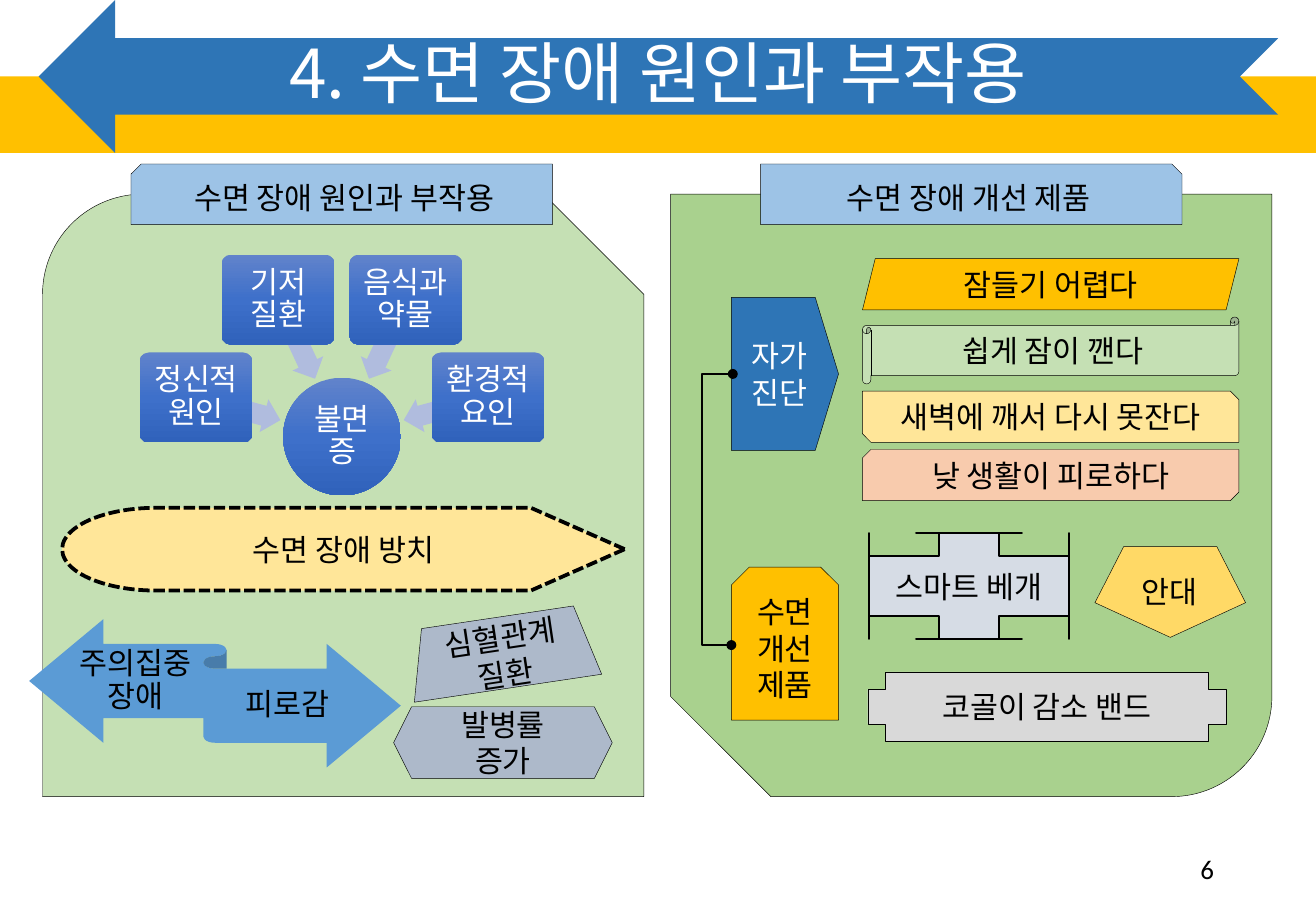
from math import cos, radians, sin

from lxml import etree
from pptx import Presentation
from pptx import util as u
from pptx.dml.color import RGBColor
from pptx.enum import dml, shapes, text
from pptx.oxml.ns import qn

SHAPE = shapes.MSO_SHAPE
BLACK, WHITE = "000000", "FFFFFF"


def color(value):
    return RGBColor.from_string(value)


class SlideBuilder:
    font = "Noto Sans CJK KR"
    size = 18
    hairline = 0.25
    gradient = ((0, "6183CB"), (50, "3E70CA"), (100, "3062BB"))

    def __init__(self, slide):
        self.slide = slide

    def shape(self, kind, box, fill, line=0, flip="", rotation=0, adjust=()):
        """Draw a preset shape; box is left, top, width, height in cm."""
        shape = self.slide.shapes.add_shape(kind, *map(u.Cm, box))
        shape.shadow.inherit = False
        shape.rotation = rotation
        for index, value in enumerate(adjust):
            shape.adjustments[index] = value
        for axis in flip:
            shape._element.spPr.xfrm.set("flip" + axis, "1")
        if fill == self.gradient:
            self.fill_gradient(shape)
        else:
            shape.fill.solid()
            shape.fill.fore_color.rgb = color(fill)
        if line:
            shape.line.color.rgb = color(BLACK)
            shape.line.width = u.Pt(line)
        else:
            shape.line.fill.background()
        return shape

    def fill_gradient(self, shape):
        shape.fill.gradient()
        shape.fill.gradient_angle = 270
        stops = shape._element.spPr.find(".//" + qn("a:gsLst"))
        for stop in list(stops):
            stops.remove(stop)
        for position, value in self.gradient:
            stop = etree.SubElement(stops, qn("a:gs"), pos=str(position * 1000))
            etree.SubElement(stop, qn("a:srgbClr"), val=value)

    def set_text(self, shape, words, ink=BLACK, size=None, font=None, align="CENTER",
                 anchor="MIDDLE", spacing=None, inset=None):
        frame = shape.text_frame
        frame.text = words
        frame.word_wrap = True
        frame.vertical_anchor = text.MSO_ANCHOR[anchor]
        if inset is not None:
            frame.margin_left = frame.margin_right = u.Cm(inset[0])
            frame.margin_top = frame.margin_bottom = u.Cm(inset[1])
        paragraph = frame.paragraphs[0]
        paragraph.alignment = text.PP_ALIGN[align]
        if spacing:
            paragraph.line_spacing = spacing
        for run in paragraph.runs:
            run.font.size = u.Pt(size or self.size)
            run.font.color.rgb = color(ink)
            run.font.name = font or self.font
            etree.SubElement(run._r.rPr, qn("a:ea"), typeface=font or self.font)

    def label(self, box, words, **style):
        self.set_text(self.slide.shapes.add_textbox(*map(u.Cm, box)), words, **style)

    def labelled(self, kind, box, fill, words, ink=BLACK, **style):
        """Draw an outlined shape with centred text."""
        shape = self.shape(kind, box, fill, **{"line": self.hairline, **style})
        self.set_text(shape, words, ink)
        return shape

    def elbow(self, start, end, bend_x):
        """Join two points with a bent line that turns at bend_x."""
        connector = self.slide.shapes.add_connector(
            shapes.MSO_CONNECTOR.ELBOW, *map(u.Cm, start + end))
        connector.line.color.rgb = color(BLACK)
        connector.line.width = u.Pt(1.5)
        ratio = (bend_x - start[0]) / (end[0] - start[0])
        properties = connector._element.spPr
        guides = properties.find(".//" + qn("a:avLst"))
        etree.SubElement(guides, qn("a:gd"), name="adj1", fmla=f"val {round(ratio * 100000)}")
        outline = properties.find(qn("a:ln"))
        for tip in ("a:headEnd", "a:tailEnd"):
            etree.SubElement(outline, qn(tip), type="oval")
        etree.SubElement(properties, qn("a:effectLst"))


def draw_header(builder):
    builder.shape(SHAPE.RECTANGLE, (0, 1.6, 27.51, 1.6), "FFC000")
    builder.shape(SHAPE.NOTCHED_RIGHT_ARROW, (0.81, 0, 25.91, 3.2), "2E75B6", flip="H")
    builder.label((19.43, 17.65, 6.2, 1.02), "6", size=16, font="Calibri", align="RIGHT")
    builder.label((0, 0, 27.51, 3.2), "4. 수면 장애 원인과 부작용",
                  ink=WHITE, size=40, spacing=0.9)


def draw_insomnia_causes(builder):
    center_x, center_y, diameter = 7.15, 9.13, 2.46

    def around(angle, radius, width, height):
        """Box centred at an angle and distance from the circle's centre."""
        return (center_x + radius * cos(radians(angle)) - width / 2,
                center_y + radius * sin(radians(angle)) - height / 2, width, height)

    circle = builder.shape(SHAPE.OVAL, around(0, 0, diameter, diameter), builder.gradient)
    builder.set_text(circle, "불면증", WHITE, spacing=0.9, inset=(0.03, 0.03))
    causes = ("정신적 원인", "기저 질환", "음식과 약물", "환경적 요인")
    for index, cause in enumerate(causes):
        angle = 195 + 50 * index
        builder.shape(SHAPE.LEFT_ARROW, around(angle, 2.25, 1.83, 0.71), "B0BCDE",
                      rotation=angle, adjust=(0.6, 0.5))
        box = builder.shape(SHAPE.ROUNDED_RECTANGLE, around(angle, 3.16, 2.36, 1.88),
                            builder.gradient, adjust=(0.1,))
        builder.set_text(box, cause, WHITE, spacing=0.9, inset=(0.1, 0.1))


def draw_causes_panel(builder):
    builder.shape(SHAPE.SNIP_ROUND_RECTANGLE, (0.89, 4.06, 12.57, 12.6), "C5E0B4",
                  line=builder.hairline)
    neglect = builder.labelled(SHAPE.FLOWCHART_DISPLAY, (1.3, 10.62, 11.76, 1.73), "FFE699",
                               "수면 장애 방치", line=2.25, flip="H")
    neglect.line.dash_style = dml.MSO_LINE.SQUARE_DOT
    builder.labelled(SHAPE.SNIP_1_RECTANGLE, (2.74, 3.43, 8.81, 1.27), "9DC3E6",
                     "수면 장애 원인과 부작용", flip="H")
    draw_insomnia_causes(builder)
    builder.shape(SHAPE.LEFT_RIGHT_RIBBON, (0.61, 12.95, 7.77, 3.1), "5B9BD5")
    for box, effect in (((1.55, 13.49, 2.57, 1.52), "주의집중장애"),
                        ((4.5, 14, 3.02, 1.52), "피로감")):
        builder.label(box, effect, spacing=0.9, inset=(0, 0.18))
    builder.labelled(SHAPE.TRAPEZOID, (8.53, 12.9, 3.96, 1.5), "ADB9CA",
                     "심혈관계 질환", rotation=351.5)
    builder.labelled(SHAPE.HEXAGON, (8.23, 14.78, 4.57, 1.5), "ADB9CA", "발병률 증가")


def draw_products_panel(builder):
    builder.shape(SHAPE.SNIP_ROUND_RECTANGLE, (14.02, 4.06, 12.57, 12.6), "A9D18E",
                  line=builder.hairline, flip="HV")
    builder.labelled(SHAPE.PENTAGON, (15.29, 6.22, 2.24, 3.2), "2E75B6", "자가진단",
                     WHITE, adjust=(0.217,))
    symptoms = (
        (SHAPE.PARALLELOGRAM, 5.41, 1.07, "FFC000", "잠들기 어렵다", ""),
        (SHAPE.HORIZONTAL_SCROLL, 6.63, 1.4, "C5E0B4", "쉽게 잠이 깬다", ""),
        (SHAPE.SNIP_2_DIAG_RECTANGLE, 8.18, 1.07, "FFE699", "새벽에 깨서 다시 못잔다", ""),
        (SHAPE.SNIP_2_DIAG_RECTANGLE, 9.4, 1.07, "F8CBAD", "낮 생활이 피로하다", "H"),
    )
    for kind, top, height, fill, symptom, flip in symptoms:
        builder.labelled(kind, (18.03, top, 7.87, height), fill, symptom, flip=flip)
    builder.labelled(SHAPE.SNIP_1_RECTANGLE, (15.9, 3.43, 8.81, 1.27), "9DC3E6",
                     "수면 장애 개선 제품")
    builder.labelled(SHAPE.SNIP_2_SAME_RECTANGLE, (15.29, 11.86, 2.24, 3.2), "FFC000",
                     "수면개선제품")
    builder.shape(SHAPE.REGULAR_PENTAGON, (22.89, 11.43, 3.15, 1.9), "FFD966",
                  line=builder.hairline, flip="V")
    builder.labelled(SHAPE.QUAD_ARROW, (18.16, 11.15, 4.19, 2.21), "D6DCE5", "스마트 베개",
                     line=1.25, adjust=(0.573, 0.5, 0.105))
    builder.labelled(SHAPE.CROSS, (18.14, 14.05, 7.49, 1.45), "D9D9D9", "코골이 감소 밴드")
    builder.elbow((15.32, 7.82), (15.29, 13.49), bend_x=14.68)
    builder.label((23.44, 11.86, 2.01, 1.02), "안대", anchor="TOP")


def main():
    presentation = Presentation()
    presentation.slide_width = u.Cm(27.51)
    presentation.slide_height = u.Cm(19.05)
    builder = SlideBuilder(presentation.slides.add_slide(presentation.slide_layouts[6]))
    draw_header(builder)
    draw_causes_panel(builder)
    draw_products_panel(builder)
    presentation.save("out.pptx")


if __name__ == "__main__":
    main()
